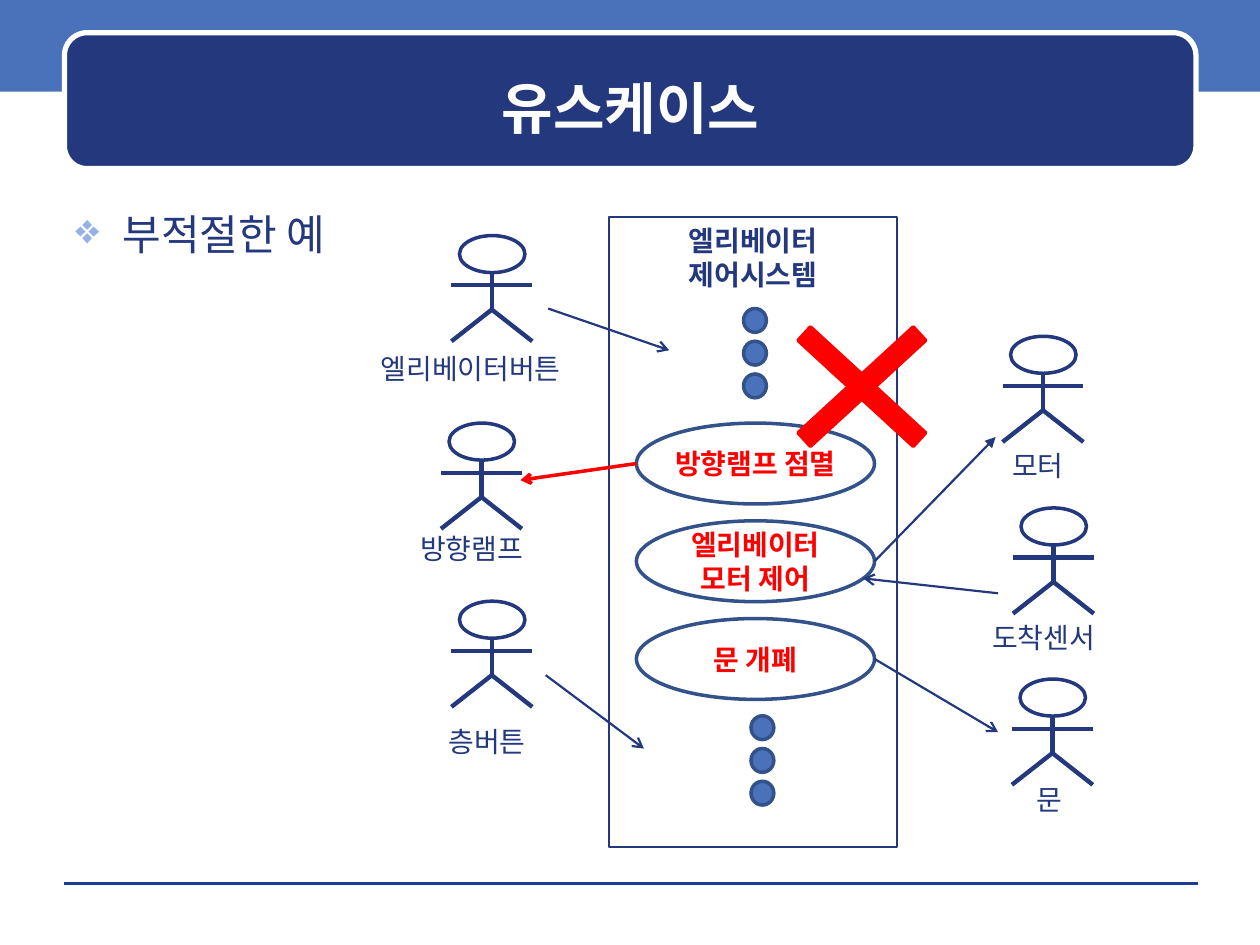
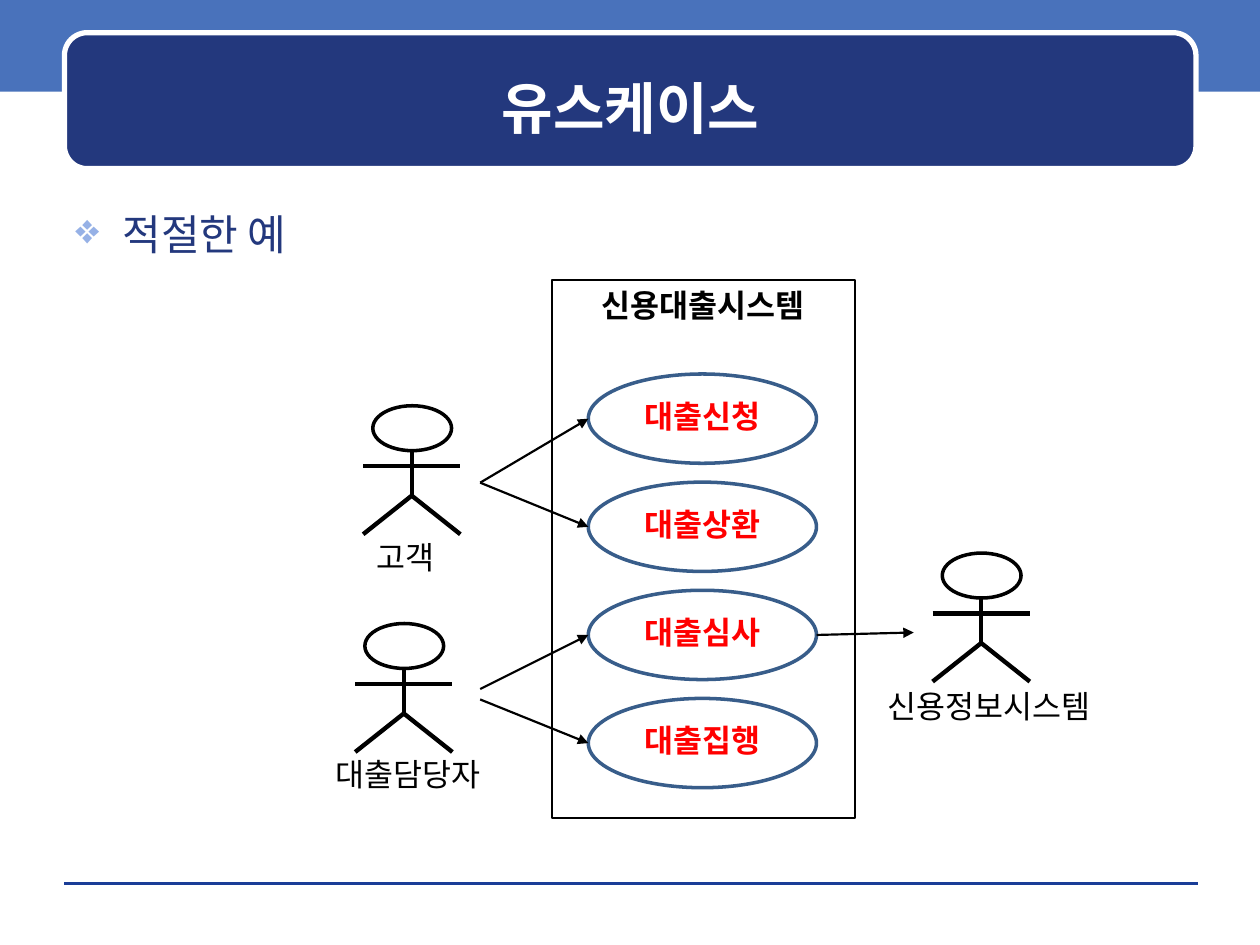
"""Build two use case slides: a poor example and a good one."""
from lxml import etree
from pptx import Presentation
from pptx import util as u
from pptx.dml.color import RGBColor
from pptx.enum import shapes, text
from pptx.oxml.ns import qn

NAVY, BLUE, WHITE, BLACK, RED = "23387D", "4972BB", "FFFFFF", "000000", "FF0000"
RULE, BULLET = "1A3D97", "96B1E6"
HEADING_FONT, BODY_FONT = "DejaVu Sans", "Noto Sans CJK KR"
TITLE = "유스케이스"
LABEL_WIDTH = 6
HEAD_LEFT, HEAD_WIDTH, HEAD_HEIGHT = 0.1, 0.81, 0.35
ARMS, HIPS = 0.47, 0.7

ELEVATOR = {
    "heading": "부적절한 예",
    "ink": NAVY, "outline": "335289", "size": 16, "case_spacing": 1.21,
    "actor_size": (1.63, 2.13),
    "system": ((12.27, 4.37, 5.82, 12.7), ["엘리베이터", "제어시스템"]),
    "actors": [
        ("엘리베이터버튼", (9.1, 4.75), (9.49, 6.96)),
        ("방향램프", (8.89, 8.53), (9.51, 10.59)),
        ("층버튼", (9.1, 12.12), (9.82, 14.48)),
        ("모터", (20.21, 6.78), (20.92, 8.92)),
        ("도착센서", (20.42, 10.24), (21.04, 12.37)),
        ("문", (20.4, 13.69), (21.16, 15.65)),
    ],
    "first_case": (12.83, 8.53, 4.8, 1.63), "case_step": 1.97,
    "cases": [["방향램프 점멸"], ["엘리베이터", "모터 제어"], ["문 개폐"]],
    "arrows": [
        ((11.05, 6.22), (13.49, 7.06), "arrow", NAVY, 1.25),
        ((11, 13.61), (12.98, 15.09), "arrow", NAVY, 1.25),
        (("left", 0), (10.49, 9.68), "arrow", RED, 2),
        (("right", 1), (20.07, 8.81), "triangle", NAVY, 1.25),
        ((20.12, 11.96), (17.4, 11.66), "arrow", NAVY, 1.25),
        (("right", 2), (20.12, 14.76), "arrow", NAVY, 1.25),
    ],
    "dots": [(14.99, 6.22), (15.14, 14.43)],
    "cross": (15.14, 5.74, 4.47, 4.11),
}
LOAN = {
    "heading": "적절한 예",
    "ink": BLACK, "outline": "385D8A", "size": 18, "case_spacing": 1,
    "actor_size": (1.96, 2.59),
    "system": ((11.13, 5.64, 6.1, 10.85), ["신용대출시스템"]),
    "actors": [
        ("고객", (7.32, 8.18), (8.18, 10.72)),
        ("대출담당자", (7.16, 12.57), (8.22, 15.09)),
        ("신용정보시스템", (18.8, 11.15), (19.93, 13.72)),
    ],
    "first_case": (11.86, 7.54, 4.6, 1.8), "case_step": 2.18,
    "cases": [["대출신청"], ["대출상환"], ["대출심사"], ["대출집행"]],
    "arrows": [
        ((9.68, 9.73), ("left", 0), "triangle", BLACK, 1.25),
        ((9.68, 9.73), ("left", 1), "triangle", BLACK, 1.25),
        ((9.68, 13.89), ("left", 2), "triangle", BLACK, 1.25),
        ((9.68, 14.1), ("left", 3), "triangle", BLACK, 1.25),
        (("right", 2), (18.42, 12.75), "triangle", BLACK, 1.25),
    ],
    "dots": [],
    "cross": None,
}


def color(value):
    return RGBColor.from_string(value)


def cm(*values):
    return [u.Cm(value) for value in values]


def add_shape(slide, kind, box, fill=None, line=None, width=2):
    shape = slide.shapes.add_shape(kind, *cm(*box))
    shape.shadow.inherit = False
    if fill:
        shape.fill.solid()
        shape.fill.fore_color.rgb = color(fill)
    else:
        shape.fill.background()
    if line:
        shape.line.color.rgb = color(line)
        shape.line.width = u.Pt(width)
    else:
        shape.line.fill.background()
    return shape


def add_line(slide, start, end, ink, width, tail=None):
    connector = slide.shapes.add_connector(shapes.MSO_CONNECTOR.STRAIGHT, *cm(*start, *end))
    connector.line.color.rgb = color(ink)
    connector.line.width = u.Pt(width)
    if tail:
        etree.SubElement(connector.line._get_or_add_ln(), qn("a:tailEnd"), type=tail)
    etree.SubElement(connector._element.spPr, qn("a:effectLst"))


def write(shape, lines, size, ink, bold=False, font=BODY_FONT, spacing=1.21,
          anchor=text.MSO_ANCHOR.TOP, align=text.PP_ALIGN.CENTER, side_inset=0.25):
    frame = shape.text_frame
    frame.word_wrap = True
    frame.vertical_anchor = anchor
    frame.margin_left = frame.margin_right = u.Cm(side_inset)
    for index, line in enumerate(lines):
        paragraph = frame.add_paragraph() if index else frame.paragraphs[0]
        paragraph.alignment = align
        paragraph.line_spacing = u.Pt(round(size * spacing, 1))
        run = paragraph.add_run()
        run.text = line
        run.font.size = u.Pt(size)
        run.font.bold = bold
        run.font.name = font
        run.font.color.rgb = color(ink)
        etree.SubElement(run._r.get_or_add_rPr(), qn("a:ea"), typeface=BODY_FONT)
    return frame


def add_bullet(paragraph):
    properties = paragraph._p.get_or_add_pPr()
    properties.set("marL", str(u.Cm(0.95)))
    properties.set("indent", str(-u.Cm(0.95)))
    bullet_color = etree.SubElement(properties, qn("a:buClr"))
    etree.SubElement(bullet_color, qn("a:srgbClr"), val=BULLET)
    etree.SubElement(properties, qn("a:buChar"), char="❖")


def add_frame(slide, heading):
    add_shape(slide, shapes.MSO_SHAPE.RECTANGLE, (0, -0.08, 25.4, 1.93), BLUE)
    add_line(slide, (1.3, 17.81), (24.16, 17.81), RULE, 0)
    plate = add_shape(slide, shapes.MSO_SHAPE.ROUNDED_RECTANGLE,
                      (1.3, 0.66, 22.81, 2.74), NAVY, WHITE, 3)
    plate.adjustments[0] = 0.167
    title = slide.shapes.add_textbox(*cm(1.52, 0.89, 22.38, 2.24))
    write(title, [TITLE], 32, WHITE, True, HEADING_FONT, 1.45, text.MSO_ANCHOR.MIDDLE)
    body = slide.shapes.add_textbox(*cm(1.27, 4.01, 22.86, 13.54))
    frame = write(body, [heading], 24, NAVY, font=HEADING_FONT, spacing=1.27,
                  align=text.PP_ALIGN.LEFT)
    add_bullet(frame.paragraphs[0])


def add_actor(slide, name, corner, label, diagram):
    left, top = corner
    width, height = diagram["actor_size"]
    ink = diagram["ink"]
    middle, right, bottom = left + width / 2, left + width, top + height
    arms, hips = top + ARMS * height, top + HIPS * height
    head = (left + HEAD_LEFT * width, top, HEAD_WIDTH * width, HEAD_HEIGHT * height)
    add_shape(slide, shapes.MSO_SHAPE.OVAL, head, line=ink)
    limbs = [
        ((middle, top + HEAD_HEIGHT * height), (middle, hips)),
        ((left, arms), (right, arms)),
        ((middle, hips), (left, bottom)),
        ((middle, hips), (right, bottom)),
    ]
    for start, end in limbs:
        add_line(slide, start, end, ink, 2.5)
    center, label_top = label
    box = slide.shapes.add_textbox(*cm(center - LABEL_WIDTH / 2, label_top, LABEL_WIDTH, 0.94))
    write(box, [name], diagram["size"], ink)


def case_box(diagram, index):
    left, top, width, height = diagram["first_case"]
    return left, top + index * diagram["case_step"], width, height


def locate(diagram, end):
    if end[0] not in ("left", "right"):
        return end
    side, index = end
    left, top, width, height = case_box(diagram, index)
    return (left if side == "left" else left + width), top + height / 2


def add_diagram(slide, diagram):
    size = diagram["size"]
    box, name = diagram["system"]
    system = add_shape(slide, shapes.MSO_SHAPE.RECTANGLE, box, line=diagram["ink"], width=1.25)
    write(system, name, size, diagram["ink"], True)
    for actor in diagram["actors"]:
        add_actor(slide, *actor, diagram)
    for index, lines in enumerate(diagram["cases"]):
        case = add_shape(slide, shapes.MSO_SHAPE.OVAL, case_box(diagram, index),
                         line=diagram["outline"])
        write(case, lines, size, RED, True, spacing=diagram["case_spacing"],
              anchor=text.MSO_ANCHOR.MIDDLE, side_inset=0)
    for start, end, tail, ink, width in diagram["arrows"]:
        add_line(slide, locate(diagram, start), locate(diagram, end), ink, width, tail)
    for left, top in diagram["dots"]:
        for index in range(3):
            add_shape(slide, shapes.MSO_SHAPE.OVAL, (left, top + 0.66 * index, 0.46, 0.48),
                      BLUE, diagram["outline"])
    if diagram["cross"]:
        cross = add_shape(slide, shapes.MSO_SHAPE.MATH_MULTIPLY, diagram["cross"], RED, RED)
        cross.adjustments[0] = 0.09


def main():
    presentation = Presentation()
    presentation.slide_width, presentation.slide_height = cm(25.4, 19.05)
    for diagram in (ELEVATOR, LOAN):
        slide = presentation.slides.add_slide(presentation.slide_layouts[6])
        add_frame(slide, diagram["heading"])
        add_diagram(slide, diagram)
    presentation.save("out.pptx")


if __name__ == "__main__":
    main()
